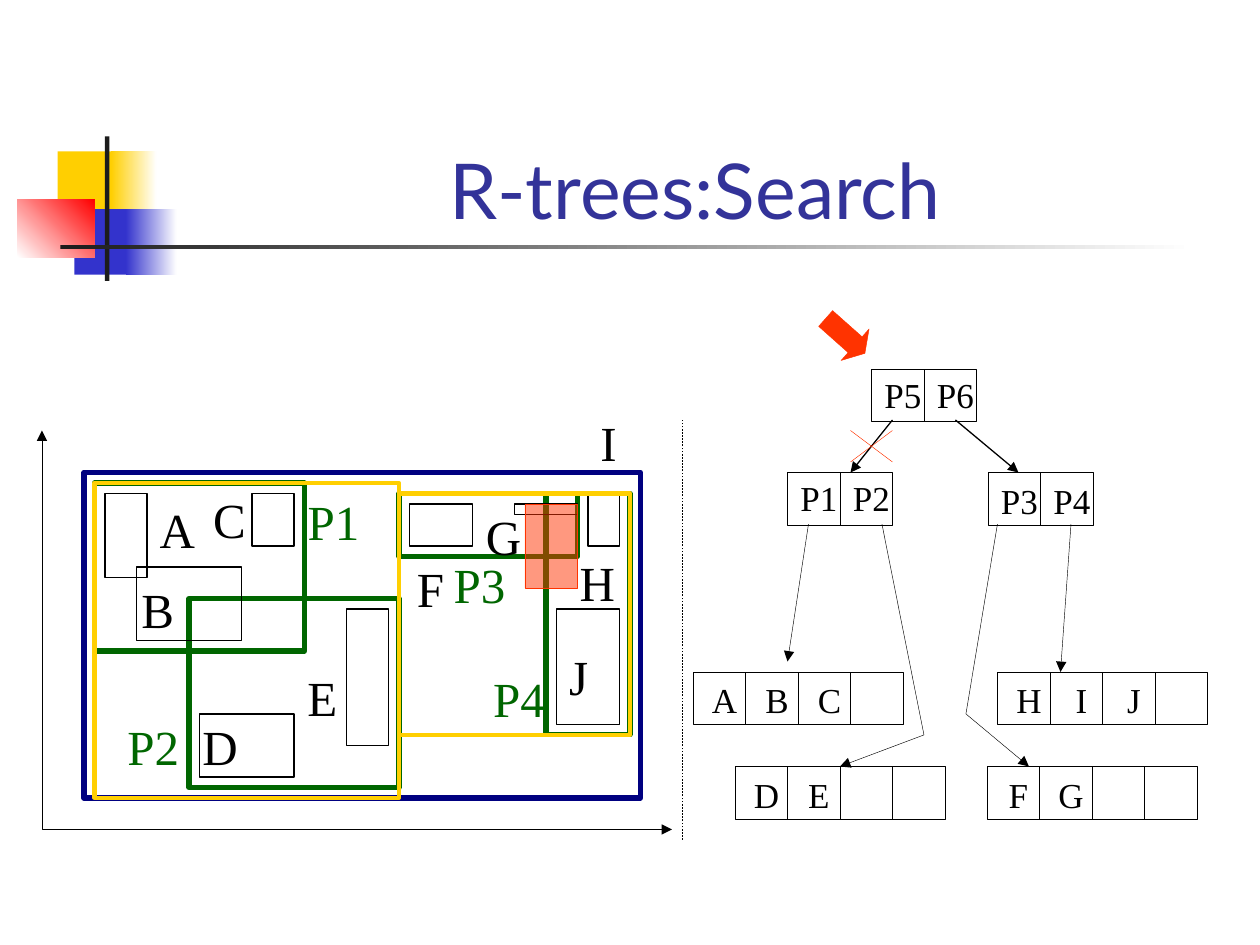
from dataclasses import dataclass
from typing import NamedTuple, Optional

import lxml.etree
import pptx
import pptx.dml.color
import pptx.enum.dml
import pptx.enum.shapes
import pptx.enum.text
import pptx.oxml.ns
import pptx.util

Pt = pptx.util.Pt
qn = pptx.oxml.ns.qn
SHAPE = pptx.enum.shapes.MSO_SHAPE
ANCHOR = pptx.enum.text.MSO_ANCHOR


@dataclass(frozen=True)
class Theme:
    black: str = "000000"
    green: str = "006600"
    navy: str = "000080"
    yellow: str = "FFCF01"
    orange: str = "FF3300"
    blue: str = "3333CC"
    red: str = "FF0000"
    white: str = "FFFFFF"
    charcoal: str = "1C1C1C"
    title: str = "333399"
    title_font: str = "Lato"
    body_font: str = "Times New Roman"
    title_size: float = 44
    map_size: float = 28
    node_size: float = 20
    hair: float = 0.25
    thin: float = 0.75
    medium: float = 2.5
    thick: float = 3


T = Theme()


class Box(NamedTuple):
    x: float
    y: float
    w: float
    h: float


class Label(NamedTuple):
    text: str
    x: float
    y: float


class Node(NamedTuple):
    x: float
    y: float
    labels: str
    slots: int
    lift: float = 0


class Link(NamedTuple):
    points: list
    color: str = T.black
    width: float = T.hair
    tail: bool = True
    head: bool = False
    dash: bool = False


CELL = 30
# Advance widths in em, used to size the label boxes
ADVANCE = dict(A=.72, B=.67, C=.67, D=.72, E=.61, F=.56, G=.72, H=.72, I=.33, J=.39, P=1.06)
LABEL_HEIGHT = {T.node_size: 31.7, T.map_size: 41}

DECOR = [  # box, start colour, end colour, angle
    (Box(33, 86.5, 34.5, 37.5), T.yellow, None, 0),
    (Box(63.5, 86.5, 26, 37.5), T.yellow, T.white, 0),
    (Box(42.5, 119.5, 33, 37.5), T.blue, None, 0),
    (Box(72, 119.5, 29, 37.5), T.blue, T.white, 0),
    (Box(10, 114, 44, 33), T.white, T.red, 45),
    (Box(60, 78, 2.5, 82.5), T.charcoal, None, 0),
    (Box(34.5, 140, 648, 2.5), T.charcoal, T.white, 0),
]
NODES = [
    Node(450, 270, "P1 P2", 2, 1.4), Node(564.5, 270, "P3 P4", 2),
    Node(564, 438, "F G", 4), Node(420, 438, "D E", 4),
    Node(570, 384, "H I J", 4), Node(396, 384, "A B C", 4),
    Node(498, 211, "P5 P6", 2, 1.4),
]
TREE_LINKS = [
    Link([(462, 299.5), (450, 378)]),
    Link([(612, 299.5), (606, 384)]),
    Link([(504, 299.5), (528, 420), (480, 438)]),
    Link([(570, 299.5), (552, 408), (588, 438)]),
    Link([(510, 240), (486, 270)], width=T.thin),
    Link([(546, 240), (582, 270)], width=T.thin),
]
AXES = Link([(24, 246), (24, 474), (384, 474)], head=True)
DIVIDER = Link([(390, 480), (390, 240)], tail=False, dash=True)
CROSS = [Link([(510, a), (486, b)], T.orange, tail=False) for a, b in [(246, 264), (264, 246)]]

LEAF_REGIONS = [Box(54, 276, 120, 96), Box(312, 282, 48, 138),
                Box(108, 342, 120, 108), Box(228, 282, 102, 36)]
OBJECTS = [Box(60, 282, 24, 48), Box(144, 282, 24, 30), Box(78, 324, 60, 42),
           Box(114, 408, 54, 36), Box(198, 348, 24, 78), Box(234, 288, 36, 24),
           Box(318, 348, 36, 66), Box(336, 282, 18, 30), Box(294, 288, 36, 6)]
SPACE = Box(48, 270, 318, 186)
QUERY = Box(300, 288, 30, 48)
ROOT_REGIONS = [Box(54, 276, 174, 180), Box(228, 282, 132, 138)]
OBJECT_LABELS = [
    Label("A", 84, 282), Label("B", 73.5, 327.5), Label("C", 114.5, 276),
    Label("D", 108.5, 405.5), Label("E", 168.5, 378), Label("F", 231, 315.5),
    Label("G", 270.5, 286), Label("H", 324, 312), Label("I", 336, 232), Label("J", 318, 366)]
REGION_LABELS = [Label("P1", 168.5, 277), Label("P2", 65.5, 405.5),
                 Label("P3", 252, 313), Label("P4", 274.5, 378.5)]


def rgb(color: str):
    return pptx.dml.color.RGBColor.from_string(color)


def write_text(tf, text: str, *, size: float, color: str = T.black, font: str = T.body_font,
               anchor=ANCHOR.MIDDLE, wrap: bool = False, before: float = 0) -> None:
    tf.word_wrap = wrap
    tf.vertical_anchor = anchor
    p = tf.paragraphs[0]
    p.alignment = pptx.enum.text.PP_ALIGN.CENTER
    p.space_before = Pt(before)
    r = p.add_run()
    r.text = text
    r.font.size, r.font.name = Pt(size), font
    r.font.color.rgb = rgb(color)


def label_width(text: str, size: float) -> float:
    return 14.4 + ADVANCE[text[0]] * size


def add_label(shapes, label: Label, size: float, color: str = T.black, before: float = 0) -> None:
    w, h = label_width(label.text, size), LABEL_HEIGHT[size]
    sp = shapes.add_textbox(Pt(label.x), Pt(label.y), Pt(w), Pt(h))
    write_text(sp.text_frame, label.text, size=size, color=color, before=before)


def add_box(shapes, box: Box, *, fill: Optional[str] = None, fade: Optional[str] = None,
            angle: float = 0, line: Optional[str] = None, width: float = T.hair,
            kind=SHAPE.RECTANGLE):
    sp = shapes.add_shape(kind, *map(Pt, box))
    sp.shadow.inherit = False
    if fade:
        sp.fill.gradient()
        sp.fill.gradient_angle = angle
        for stop, color, position in zip(sp.fill.gradient_stops, (fill, fade), (0, 1)):
            stop.color.rgb, stop.position = rgb(color), position
    elif fill:
        sp.fill.solid()
        sp.fill.fore_color.rgb = rgb(fill)
    else:
        sp.fill.background()
    if line:
        sp.line.color.rgb, sp.line.width = rgb(line), Pt(width)
    else:
        sp.line.fill.background()
    return sp


def add_link(shapes, link: Link) -> None:
    points = [(Pt(x), Pt(y)) for x, y in link.points]
    if len(points) == 2:
        sp = shapes.add_connector(pptx.enum.shapes.MSO_CONNECTOR.STRAIGHT, *points[0], *points[1])
    else:
        builder = shapes.build_freeform(*points[0])
        builder.add_line_segments(points[1:], close=False)
        sp = builder.convert_to_shape()
        sp.fill.background()
    sp.line.color.rgb, sp.line.width = rgb(link.color), Pt(link.width)
    if link.dash:
        sp.line.dash_style = pptx.enum.dml.MSO_LINE.DASH
    sp_pr = sp.element.spPr
    for tag, wanted in (("a:headEnd", link.head), ("a:tailEnd", link.tail)):
        if wanted:
            lxml.etree.SubElement(sp_pr.find(qn("a:ln")), qn(tag), type="triangle")
    lxml.etree.SubElement(sp_pr, qn("a:effectLst"))


def add_node(shapes, node: Node) -> None:
    if node.slots > 2:
        shapes = shapes.add_group_shape().shapes
    for i in range(node.slots):
        add_box(shapes, Box(node.x + i * CELL, node.y, CELL, CELL), line=T.black)
    for i, text in enumerate(node.labels.split()):
        center = node.x + (i + 0.5) * CELL + 3
        x = center - label_width(text, T.node_size) / 2
        add_label(shapes, Label(text, x, node.y - node.lift), T.node_size)


def main() -> None:
    prs = pptx.Presentation()
    prs.slide_width, prs.slide_height = Pt(720), Pt(540)
    s = prs.slides.add_slide(prs.slide_layouts[5])
    shapes = s.shapes

    # Title and corner decoration
    title = shapes.title
    title.left, title.top, title.width, title.height = map(Pt, (90.5, 48, 613.5, 90))
    write_text(title.text_frame, "R-trees:Search", size=T.title_size, color=T.title,
               font=T.title_font, anchor=ANCHOR.BOTTOM, wrap=True)
    for box, start, end, angle in DECOR:
        add_box(shapes, box, fill=start, fade=end, angle=angle)

    # Tree with the pointer at its root
    pointer = add_box(shapes, Box(468, 180, 30, 24), fill=T.orange, line=T.orange,
                      kind=SHAPE.RIGHT_ARROW)
    pointer.rotation = 41.6
    pointer.adjustments[0], pointer.adjustments[1] = 0.5, 0.31
    for node in NODES:
        add_node(shapes, node)
    for link in TREE_LINKS:
        add_link(shapes, link)

    # Map of regions and objects
    for boxes, color, width in ((LEAF_REGIONS, T.green, T.thick), (OBJECTS, T.black, T.thin),
                                ([SPACE], T.navy, T.thick)):
        for box in boxes:
            add_box(shapes, box, line=color, width=width)
    add_link(shapes, AXES)
    for label in OBJECT_LABELS:
        add_label(shapes, label, T.map_size)
    for label in REGION_LABELS:
        add_label(shapes, label, T.map_size, T.green, before=17.5)
    add_link(shapes, DIVIDER)

    # Query window, root regions and the pruned branch
    query = add_box(shapes, QUERY, fill=T.orange, line=T.orange)
    tint = query.element.spPr.find(qn("a:solidFill")).find(qn("a:srgbClr"))
    lxml.etree.SubElement(tint, qn("a:alpha"), val="50000")
    for box in ROOT_REGIONS:
        add_box(shapes, box, line=T.yellow, width=T.medium)
    for link in CROSS:
        add_link(shapes, link)

    prs.save("out.pptx")


if __name__ == "__main__":
    main()
